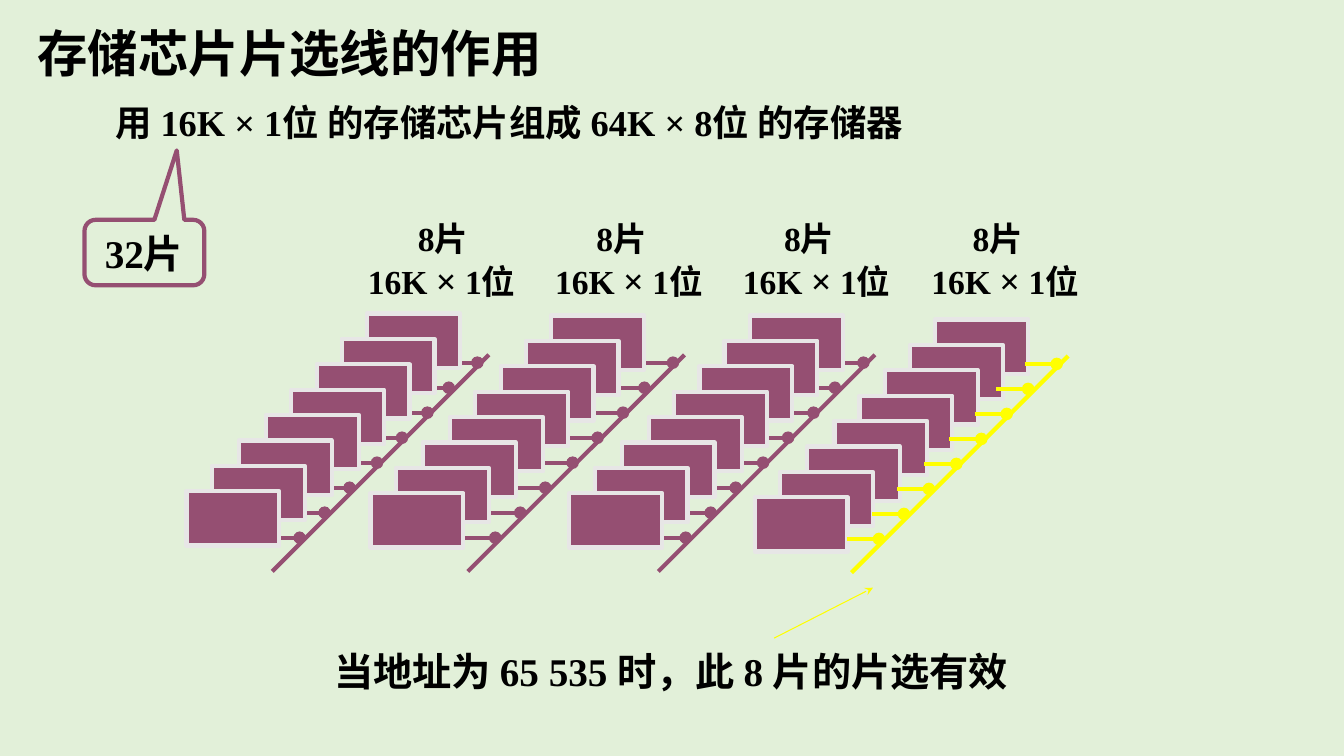
import pptx
import pptx.util
import pptx.dml.color
import pptx.enum.shapes
import pptx.enum.text
import pptx.oxml.ns
from lxml import etree
from pptx.util import Cm

FONT = "Times New Roman"
COLORS = {
    "background": "E2F0D9",
    "chip": "954F72",
    "chip_edge": "E7E6E6",
    "selected": "FFFF00",
    "text": "000000",
}
SHAPES = pptx.enum.shapes.MSO_SHAPE
ANCHOR = pptx.enum.text.MSO_ANCHOR

# Offsets (cm) of the eight chips and of their select lines, from back to front
CHIP_SHIFTS = (0, 0.64, 1.27, 1.91, 2.54, 3.23, 3.91, 4.55)
CHIP_STEP_Y = 0.64
SELECT_SHIFTS = (1.1, 1.82, 2.36, 3, 3.63, 4.32, 4.95, 5.58)
SELECT_STEP_Y = 0.63
SELECT_LENGTH = 0.81
BUS_SPAN = 5.46

# Chip corner, bus top, label left, label indent, colour of the select bus
BANKS = (
    ((9.25, 7.9), (12.32, 8.94), 9.02, 1.26, "chip"),
    ((13.89, 7.95), (17.25, 8.94), 13.74, 1.04, "chip"),
    ((18.9, 7.95), (22.05, 8.94), 18.47, 1.04, "chip"),
    ((23.57, 8.05), (26.92, 8.97), 23.22, 1.04, "selected"),
)


def rgb(name):
    return pptx.dml.color.RGBColor.from_string(COLORS[name])


def write_text(frame, text, size, symbol_size=None, indent=0, wrap=True,
               anchor=ANCHOR.TOP):
    """Fill a frame; indent moves the first line, symbol_size sizes the ×."""
    frame.word_wrap = wrap
    frame.auto_size = pptx.enum.text.MSO_AUTO_SIZE.NONE
    frame.vertical_anchor = anchor
    for number, line in enumerate(text.split("\n")):
        paragraph = frame.add_paragraph() if number else frame.paragraphs[0]
        paragraph.alignment = pptx.enum.text.PP_ALIGN.LEFT
        if indent and number == 0:
            paragraph._p.get_or_add_pPr().set("marL", str(Cm(indent)))
        pieces = line.partition("×") if symbol_size else (line,)
        for piece in filter(None, pieces):
            run = paragraph.add_run()
            run.text = piece
            run.font.name = FONT
            run.font.bold = True
            run.font.size = pptx.util.Pt(symbol_size if piece == "×" else size)
            run.font.color.rgb = rgb("text")


def add_text(slide, left, top, width, height, text, size, **formats):
    box = slide.shapes.add_textbox(Cm(left), Cm(top), Cm(width), Cm(height))
    write_text(box.text_frame, text, size, **formats)


def add_line(slide, start, end, color, weight=3, end_mark=None):
    line = slide.shapes.add_connector(
        pptx.enum.shapes.MSO_CONNECTOR.STRAIGHT, *map(Cm, start + end))
    line.line.color.rgb = rgb(color)
    line.line.width = pptx.util.Pt(weight)
    if end_mark:
        etree.SubElement(line.line._get_or_add_ln(),
                         pptx.oxml.ns.qn("a:tailEnd"), type=end_mark)
    etree.SubElement(line._element.spPr, pptx.oxml.ns.qn("a:effectLst"))


def add_outlined(slide, preset, left, top, width, height, edge):
    shape = slide.shapes.add_shape(preset, Cm(left), Cm(top), Cm(width), Cm(height))
    shape.shadow.inherit = False
    shape.line.color.rgb = rgb(edge)
    shape.line.width = pptx.util.Pt(3)
    return shape


def add_chip_stack(slide, left, top):
    for number, shift in enumerate(CHIP_SHIFTS):
        chip = add_outlined(slide, SHAPES.RECTANGLE, left - shift,
                            top + number * CHIP_STEP_Y, 2.34, 1.37, "chip_edge")
        chip.fill.solid()
        chip.fill.fore_color.rgb = rgb("chip")


def add_select_bus(slide, x, y, color):
    add_line(slide, (x, y), (x - BUS_SPAN, y + BUS_SPAN), color)
    for number, shift in enumerate(SELECT_SHIFTS):
        start = x - shift
        level = y + 0.2 + number * SELECT_STEP_Y
        add_line(slide, (start, level), (start + SELECT_LENGTH, level), color,
                 end_mark="oval")


def add_chip_count(slide):
    callout = add_outlined(slide, SHAPES.ROUNDED_RECTANGULAR_CALLOUT,
                           2.13, 5.54, 3.02, 1.65, "chip")
    callout.fill.background()
    for index, value in enumerate((0.27, -1.56, 0.17)):
        callout.adjustments[index] = value
    frame = callout.text_frame
    frame.margin_left, frame.margin_right = Cm(0.43), Cm(0)
    write_text(frame, "32片", 28, anchor=ANCHOR.MIDDLE)


def main():
    deck = pptx.Presentation()
    deck.slide_width, deck.slide_height = Cm(33.87), Cm(19.05)
    slide = deck.slides.add_slide(deck.slide_layouts[5])
    slide.background.fill.solid()
    slide.background.fill.fore_color.rgb = rgb("background")

    # Title and task
    title = slide.shapes.title
    title.left, title.top, title.width, title.height = map(
        Cm, (0.69, 0.43, 13.26, 1.78))
    write_text(title.text_frame, "存储芯片片选线的作用", 36, wrap=False,
               anchor=ANCHOR.MIDDLE)
    add_text(slide, 2.67, 2.41, 21.62, 1.35,
             "用 16K × 1位 的存储芯片组成 64K × 8位 的存储器", 26)
    add_chip_count(slide)

    # Four banks of eight chips; the selected bus lies over its chips
    for corner, bus_top, label_left, indent, color in BANKS:
        if color == "selected":
            add_chip_stack(slide, *corner)
            add_select_bus(slide, *bus_top, color)
        else:
            add_select_bus(slide, *bus_top, color)
            add_chip_stack(slide, *corner)
        add_text(slide, label_left, 5.36, 4.9, 2.36, "8片\n16K × 1位", 24,
                 symbol_size=26, indent=indent)

    # Which bank the address selects
    add_line(slide, (19.51, 16.08), (22, 14.81), "selected", weight=0.75,
             end_mark="stealth")
    add_text(slide, 8.18, 16.18, 18.29, 1.45,
             "当地址为 65 535 时，此 8 片的片选有效", 28)

    deck.save("out.pptx")


if __name__ == "__main__":
    main()
